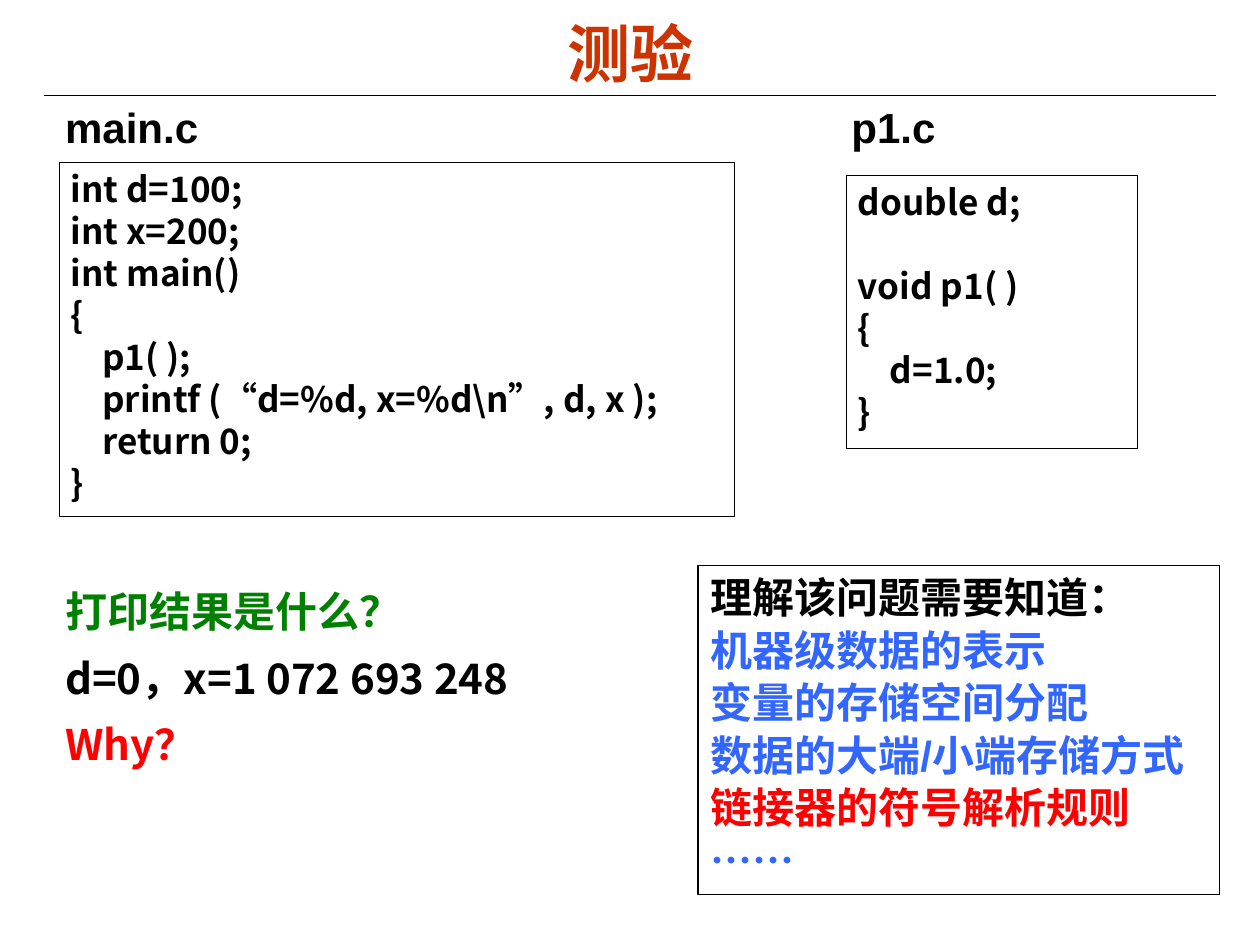
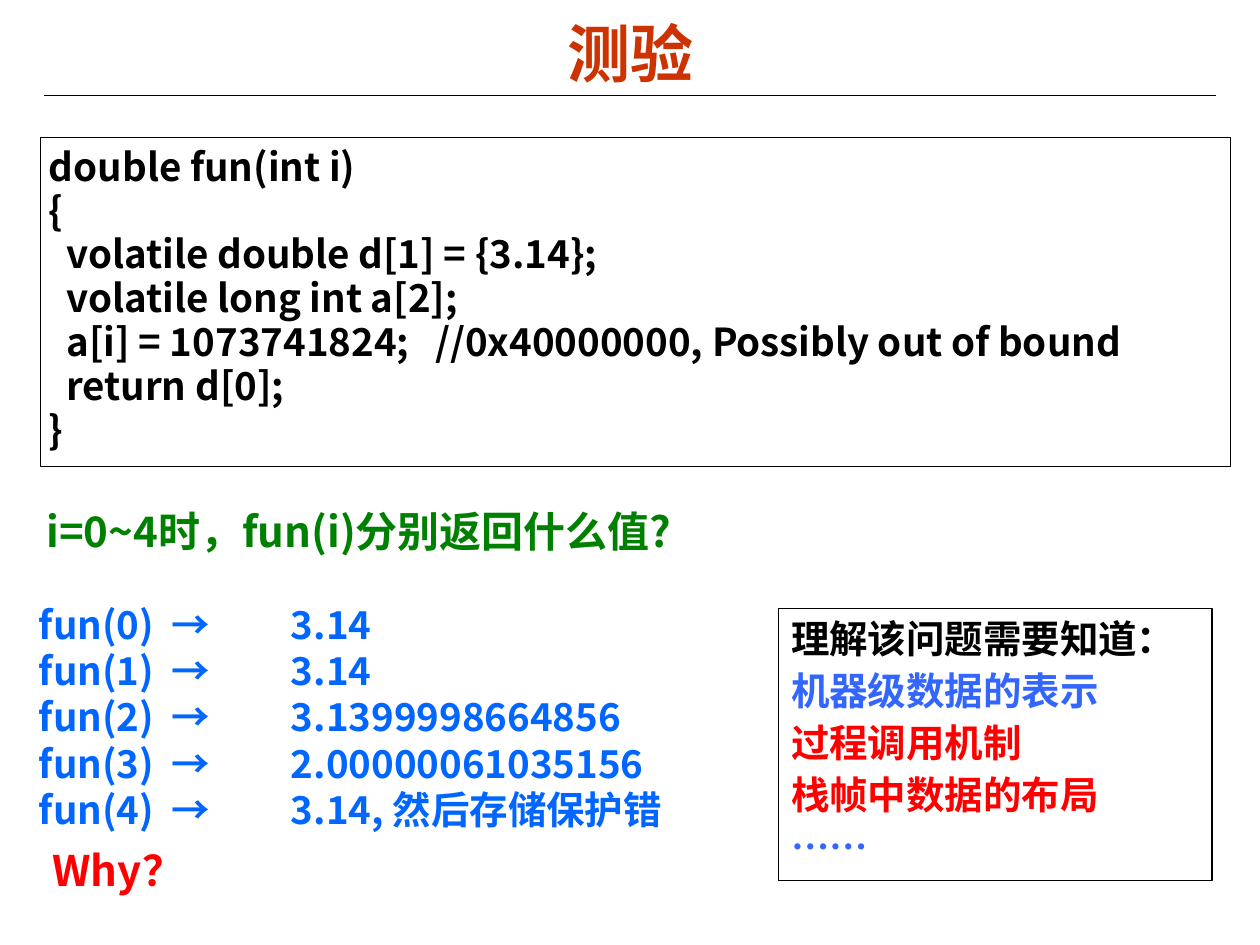
import dataclasses

import lxml.etree
import pptx
import pptx.dml.color
import pptx.enum.shapes
import pptx.enum.text
import pptx.oxml.ns
import pptx.util

Pt = pptx.util.Pt
RGB = pptx.dml.color.RGBColor.from_string
qn = pptx.oxml.ns.qn


@dataclasses.dataclass(frozen=True)
class Theme:
    title: str = "CC3300"
    ink: str = "000000"
    paper: str = "FFFFFF"
    question: str = "008000"
    alert: str = "FF0000"
    topic: str = "3366FF"
    result: str = "0066FF"
    latin: str = "Arial"
    cjk: str = "Noto Sans CJK SC"
    title_size: float = 36
    body_size: float = 24
    small_size: float = 22
    code_size: float = 20


THEME = Theme()


@dataclasses.dataclass(frozen=True)
class Line:
    text: str
    color: str = THEME.ink
    font: str = THEME.cjk
    before: float | None = None  # overrides the gap of the panel


@dataclasses.dataclass(frozen=True)
class Panel:
    """A block of text; lengths are in points, a border of 0 draws no outline."""
    box: tuple[float, float, float, float]
    lines: list[Line]
    size: float = THEME.body_size
    border: float = 0
    fill: str | None = None
    inset: tuple[float, float] = (7.2, 3.6)
    spacing: float = 1.0
    gap: float = 0
    tab: float | None = None


def code(text: str) -> list[Line]:
    return [Line(row) for row in text.split("\n")]


def topics(*rows: tuple[str, str]) -> list[Line]:
    """Lines of a 'what you need to know' panel, with its heading and ellipsis."""
    return [
        Line("理解该问题需要知道：", THEME.ink, THEME.latin),
        *(Line(text, color, THEME.latin) for text, color in rows),
        Line("……", THEME.topic),
    ]


def add_run(p, text: str, size: float, color: str, font: str) -> None:
    r = p.add_run()
    r.text = text
    r.font.name = font
    r.font.size = Pt(size)
    r.font.bold = True
    r.font.color.rgb = RGB(color)
    ea = lxml.etree.Element(qn("a:ea"), typeface=THEME.cjk)
    r.font._element.find(qn("a:latin")).addnext(ea)


def add_tab(p, position: float) -> None:
    tabs = lxml.etree.SubElement(p._p.get_or_add_pPr(), qn("a:tabLst"))
    lxml.etree.SubElement(tabs, qn("a:tab"), pos=str(Pt(position)), algn="l")


def add_panel(s, panel: Panel) -> None:
    box = [Pt(v) for v in panel.box]
    if panel.border or panel.fill:
        sp = s.shapes.add_shape(pptx.enum.shapes.MSO_SHAPE.RECTANGLE, *box)
        sp.shadow.inherit = False
    else:
        sp = s.shapes.add_textbox(*box)
    if panel.fill:
        sp.fill.solid()
        sp.fill.fore_color.rgb = RGB(panel.fill)
    else:
        sp.fill.background()
    if panel.border:
        sp.line.color.rgb = RGB(THEME.ink)
        sp.line.width = Pt(panel.border)
    else:
        sp.line.fill.background()

    tf = sp.text_frame
    tf.word_wrap = True
    tf.vertical_anchor = pptx.enum.text.MSO_ANCHOR.TOP
    tf.margin_left = tf.margin_right = Pt(panel.inset[0])
    tf.margin_top = tf.margin_bottom = Pt(panel.inset[1])
    for i, line in enumerate(panel.lines):
        p = tf.add_paragraph() if i else tf.paragraphs[0]
        p.alignment = pptx.enum.text.PP_ALIGN.LEFT
        p.line_spacing = panel.spacing
        if i:
            p.space_before = Pt(panel.gap if line.before is None else line.before)
        if panel.tab:
            add_tab(p, panel.tab)
        add_run(p, line.text, panel.size, line.color, line.font)


def add_title(s, text: str) -> None:
    """Fill the title placeholder and draw the rule under it."""
    sp = s.shapes.title
    sp.left, sp.top, sp.width, sp.height = Pt(36), Pt(8), Pt(648), Pt(44)
    tf = sp.text_frame
    tf.auto_size = pptx.enum.text.MSO_AUTO_SIZE.NONE
    tf.vertical_anchor = pptx.enum.text.MSO_ANCHOR.MIDDLE
    p = tf.paragraphs[0]
    p.alignment = pptx.enum.text.PP_ALIGN.CENTER
    add_run(p, text, THEME.title_size, THEME.title, THEME.latin)

    rule = s.shapes.add_connector(
        pptx.enum.shapes.MSO_CONNECTOR.STRAIGHT, Pt(25.2), Pt(54.7), Pt(694.8), Pt(54.7))
    rule.line.color.rgb = RGB(THEME.ink)
    rule.line.width = Pt(0.75)
    lxml.etree.SubElement(rule._element.spPr, qn("a:effectLst"))


MAIN_C = """int d=100;
int x=200;
int main()
{
    p1( );
    printf (“d=%d, x=%d\\n”, d, x );
    return 0;
}"""

P1_C = [
    Line("double d;"),
    Line("void p1( )", before=24),
    *code("{\n    d=1.0;\n}"),
]

FUN_C = """double fun(int i)
{
  volatile double d[1] = {3.14};
  volatile long int a[2];
  a[i] = 1073741824;   //0x40000000, Possibly out of bound
  return d[0];
}"""

FUN_RESULTS = ["3.14", "3.14", "3.1399998664856", "2.00000061035156", "3.14, 然后存储保护错"]

LINKING_QUIZ = [
    *(Panel((left, 50.4, 150, 46), [Line(name, font=THEME.latin)], spacing=1.15)
      for left, name in ((30.2, "main.c"), (479.5, "p1.c"))),
    Panel((33.8, 92.9, 386, 202.3), code(MAIN_C), THEME.code_size,
          border=0.25, inset=(6.5, 2.9)),
    Panel((483.8, 100.1, 166.3, 156.2), P1_C, THEME.code_size,
          border=0.25, inset=(6.5, 2.9)),
    Panel((30.2, 326.9, 319, 134.6),
          [Line("打印结果是什么？", THEME.question),
           Line("d=0，x=1 072 693 248"),
           Line("Why？", THEME.alert)],
          spacing=1.15, gap=4.8),
    Panel((398.9, 323.3, 298.1, 187.9),
          topics(("机器级数据的表示", THEME.topic),
                 ("变量的存储空间分配", THEME.topic),
                 ("数据的大端/小端存储方式", THEME.topic),
                 ("链接器的符号解析规则", THEME.alert)),
          border=0.75, gap=1.2),
]

BOUNDS_QUIZ = [
    Panel((19.4, 280.8, 648, 77.8),
          [Line("i=0~4时，fun(i)分别返回什么值?", THEME.question)], spacing=1.15),
    Panel((23, 78.5, 680.4, 187.9), code(FUN_C), THEME.small_size,
          border=0.5, inset=(5, 5), spacing=0.95),
    Panel((19.4, 340.6, 576.7, 146.2),
          [Line(f"fun({i})  →\t{value}", THEME.result)
           for i, value in enumerate(FUN_RESULTS)],
          THEME.small_size, fill=THEME.paper, inset=(2.9, 2.9), tab=144),
    Panel((445, 347.8, 247.7, 155.5),
          topics(("机器级数据的表示", THEME.topic),
                 ("过程调用机制", THEME.alert),
                 ("栈帧中数据的布局", THEME.alert)),
          THEME.small_size, border=0.75, gap=3.3),
    Panel((23, 478.8, 223.2, 36), [Line("Why？", THEME.alert)]),
]


def main() -> None:
    prs = pptx.Presentation()
    prs.slide_width, prs.slide_height = Pt(720), Pt(540)
    title_only = prs.slide_layouts[5]
    for panels in (LINKING_QUIZ, BOUNDS_QUIZ):
        s = prs.slides.add_slide(title_only)
        add_title(s, "测验")
        for panel in panels:
            add_panel(s, panel)
    prs.save("out.pptx")


if __name__ == "__main__":
    main()
